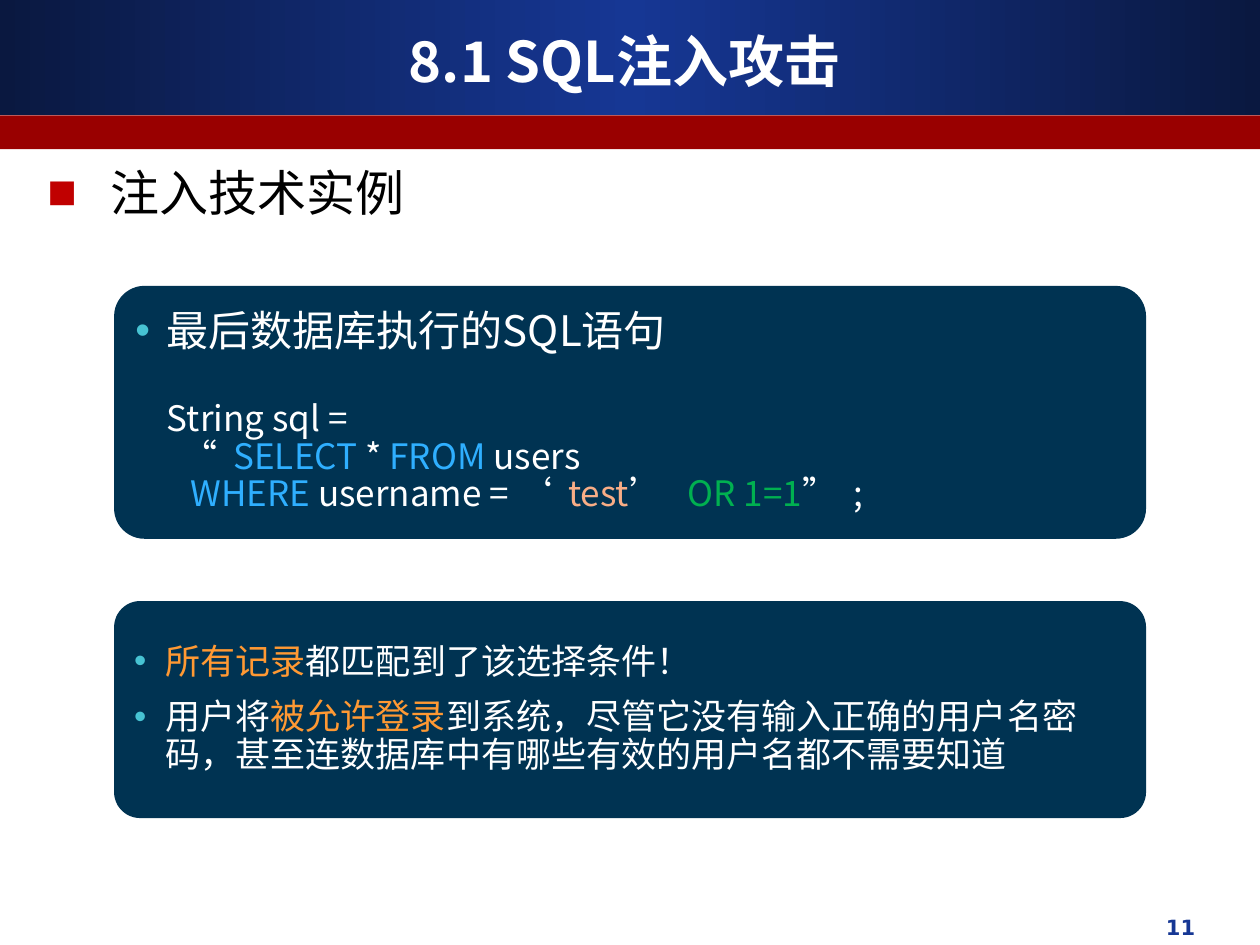
from copy import deepcopy

from lxml import etree
from pptx import Presentation
from pptx.dml.color import RGBColor
from pptx.enum.shapes import MSO_SHAPE
from pptx.enum.text import MSO_ANCHOR, PP_ALIGN
from pptx.oxml.ns import qn
from pptx.util import Pt

RECTANGLE, ROUNDED = MSO_SHAPE.RECTANGLE, MSO_SHAPE.ROUNDED_RECTANGLE
TOP, MIDDLE = MSO_ANCHOR.TOP, MSO_ANCHOR.MIDDLE
LEFT, CENTER, RIGHT = PP_ALIGN.LEFT, PP_ALIGN.CENTER, PP_ALIGN.RIGHT

WHITE = RGBColor(0xFF, 0xFF, 0xFF)
BLACK = RGBColor(0x00, 0x00, 0x00)
NAVY = RGBColor(0x0A, 0x18, 0x40)
BLUE = RGBColor(0x16, 0x37, 0x94)
DARK_RED = RGBColor(0x99, 0x00, 0x00)
RED = RGBColor(0xC0, 0x00, 0x00)
PANEL = RGBColor(0x00, 0x33, 0x52)
TEAL = RGBColor(0x47, 0xC3, 0xD3)
KEYWORD = RGBColor(0x2F, 0xAF, 0xFF)
SALMON = RGBColor(0xF8, 0xAD, 0x86)
GREEN = RGBColor(0x00, 0xB0, 0x50)
ORANGE = RGBColor(0xFF, 0x99, 0x33)

CJK_FONT = "Noto Sans CJK SC"
NUMBER_FONT = "DejaVu Sans"
PANEL_SPACING = 0.9
QUOTES = "“”‘’"
QUOTE_SPACING = 900  # hundredths of a point after each quotation mark


def set_indent(paragraph, margin, hanging=0, bullet=None, bullet_color=None):
    properties = paragraph._p.get_or_add_pPr()
    properties.set("marL", str(Pt(margin)))
    properties.set("indent", str(-Pt(hanging)))
    if bullet:
        color = etree.SubElement(properties, qn("a:buClr"))
        etree.SubElement(color, qn("a:srgbClr")).set("val", str(bullet_color))
        etree.SubElement(properties, qn("a:buFont")).set("typeface", "Arial")
        etree.SubElement(properties, qn("a:buChar")).set("char", bullet)


def add_runs(paragraph, runs, size, font=CJK_FONT, bold=False):
    """Runs are (text, colour) pairs."""
    for text, color in runs:
        run = paragraph.add_run()
        run.text = text
        for name, value in {"size": Pt(size), "name": font, "bold": bold}.items():
            setattr(run.font, name, value)
        run.font.color.rgb = color
        properties = run._r.get_or_add_rPr()
        etree.SubElement(properties, qn("a:ea")).set("typeface", font)
        if text in QUOTES:
            properties.set("spc", str(QUOTE_SPACING))


def add_shape(slide, kind, box, color=None):
    shape = slide.shapes.add_shape(kind, *map(Pt, box))
    shape.shadow.inherit = False
    shape.line.fill.background()
    if color is not None:
        shape.fill.solid()
        shape.fill.fore_color.rgb = color
    return shape


def add_label(slide, box, anchor, alignment):
    """Add a text box and return its first paragraph."""
    frame = slide.shapes.add_textbox(*map(Pt, box)).text_frame
    frame.word_wrap = True
    frame.vertical_anchor = anchor
    paragraph = frame.paragraphs[0]
    paragraph.alignment = alignment
    return paragraph


def add_header(slide, box, title):
    left, top, width, height = box
    # Blue band, dark at both ends
    band = add_shape(slide, RECTANGLE, (left, top, width, 65.5))
    band.fill.gradient()
    band.fill.gradient_angle = 0
    first, last = band.fill.gradient_stops
    for stop, color, position in ((first, NAVY, 0), (last, BLUE, 0.5)):
        stop.color.rgb = color
        stop.position = position
    stops = band._element.spPr.find(qn("a:gradFill")).find(qn("a:gsLst"))
    end_stop = deepcopy(stops[0])
    end_stop.set("pos", "100000")
    stops.append(end_stop)
    # Red stripe
    add_shape(slide, RECTANGLE, (left, top + 66, width, height - 66), DARK_RED)
    # Title
    paragraph = add_label(slide, (left + 24, top + 12, 666, 44.5), MIDDLE, CENTER)
    add_runs(paragraph, [(title, WHITE)], 32, bold=True)


def add_heading(slide, box, text):
    paragraph = add_label(slide, box, TOP, LEFT)
    set_indent(paragraph, 36, 36, "■", RED)
    add_runs(paragraph, [(text, BLACK)], 28)


def add_panel(slide, box, paragraphs):
    """Paragraphs are (size, space before, indent or None for a bullet, runs)."""
    panel = add_shape(slide, ROUNDED, box, PANEL)
    panel.adjustments[0] = 0.12
    frame = panel.text_frame
    frame.word_wrap = True
    frame.vertical_anchor = MIDDLE
    frame.margin_right = Pt(20)
    for index, (size, space, indent, runs) in enumerate(paragraphs):
        paragraph = frame.add_paragraph() if index else frame.paragraphs[0]
        formats = {"alignment": LEFT, "line_spacing": PANEL_SPACING,
                   "space_before": Pt(space)}
        for name, value in formats.items():
            setattr(paragraph, name, value)
        if indent is None:
            set_indent(paragraph, 18, 18, "•", TEAL)
        else:
            set_indent(paragraph, indent)
        add_runs(paragraph, runs, size)


def add_page_number(slide, box, number):
    paragraph = add_label(slide, box, TOP, RIGHT)
    add_runs(paragraph, [(number, BLUE)], 12, NUMBER_FONT, True)


def main():
    presentation = Presentation()
    presentation.slide_width, presentation.slide_height = Pt(720), Pt(540)
    slide = presentation.slides.add_slide(presentation.slide_layouts[6])

    add_header(slide, (0, 0, 720, 85.2), "8.1 SQL注入攻击")
    add_heading(slide, (20, 89.3, 649.5, 41), "注入技术实例")

    # Executed statement
    add_panel(slide, (65.2, 163.4, 589.7, 144.5), [
        (24, 10, None, [("最后数据库执行的SQL语句", WHITE)]),
        (20, 26, 18, [("String sql =", WHITE)]),
        (20, 0, 27, [("“", WHITE), ("SELECT", KEYWORD), (" * ", WHITE),
                     ("FROM", KEYWORD), (" users", WHITE)]),
        (20, 0, 31.5, [("WHERE", KEYWORD), (" username = ", WHITE),
                       ("‘", WHITE), ("test", SALMON), ("’", WHITE),
                       (" ", WHITE), ("OR 1=1", GREEN), ("”", WHITE),
                       (";", WHITE)]),
    ])
    # Consequences
    add_panel(slide, (65.2, 343.5, 589.7, 124), [
        (20, 10, None, [("所有记录", ORANGE), ("都匹配到了该选择条件！", WHITE)]),
        (20, 10, None, [
            ("用户将", WHITE), ("被允许登录", ORANGE),
            ("到系统，尽管它没有输入正确的用户名密码，"
             "甚至连数据库中有哪些有效的用户名都不需要知道", WHITE)]),
    ])

    add_page_number(slide, (461.5, 519, 228.5, 25), "11")
    presentation.save("out.pptx")


if __name__ == "__main__":
    main()
